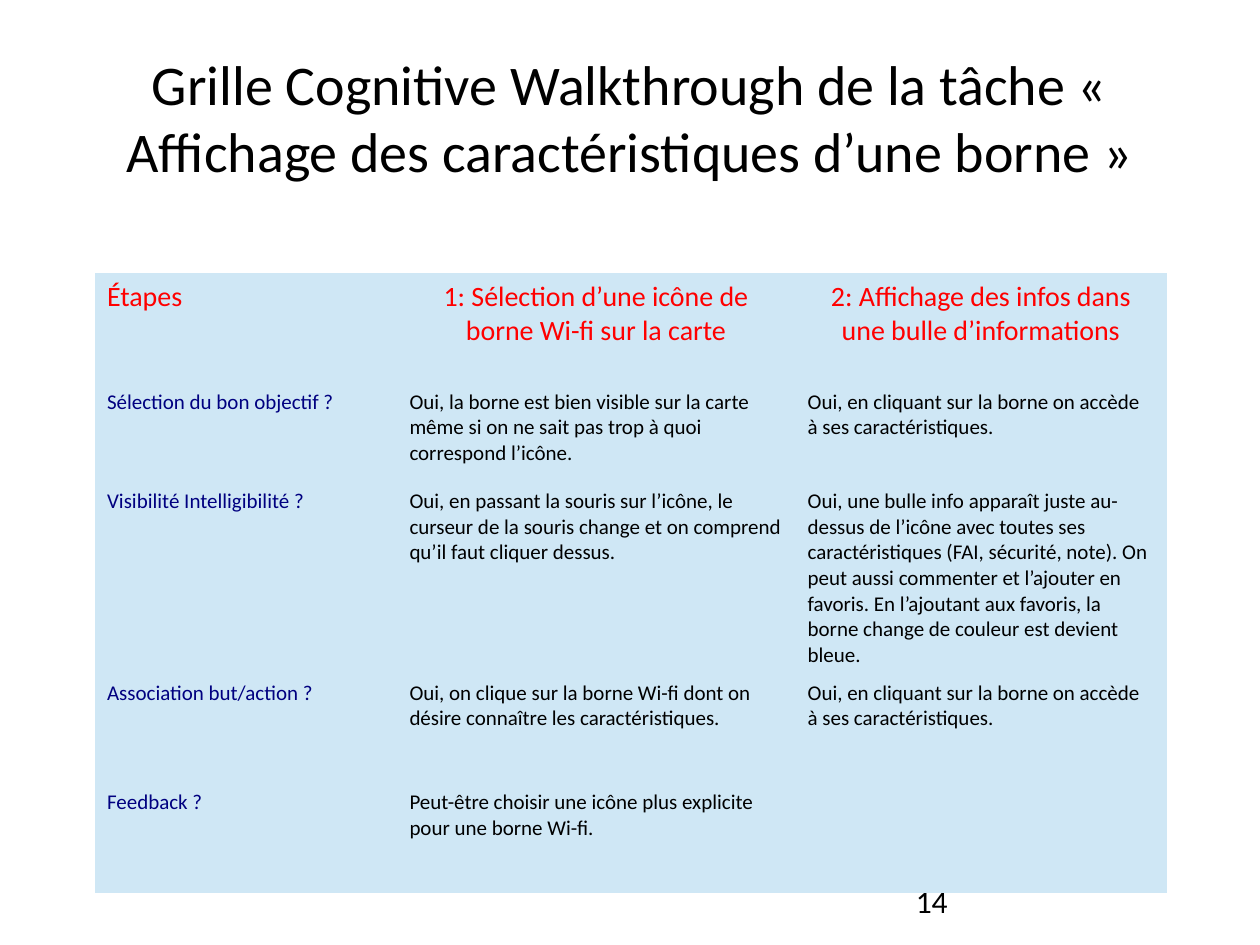
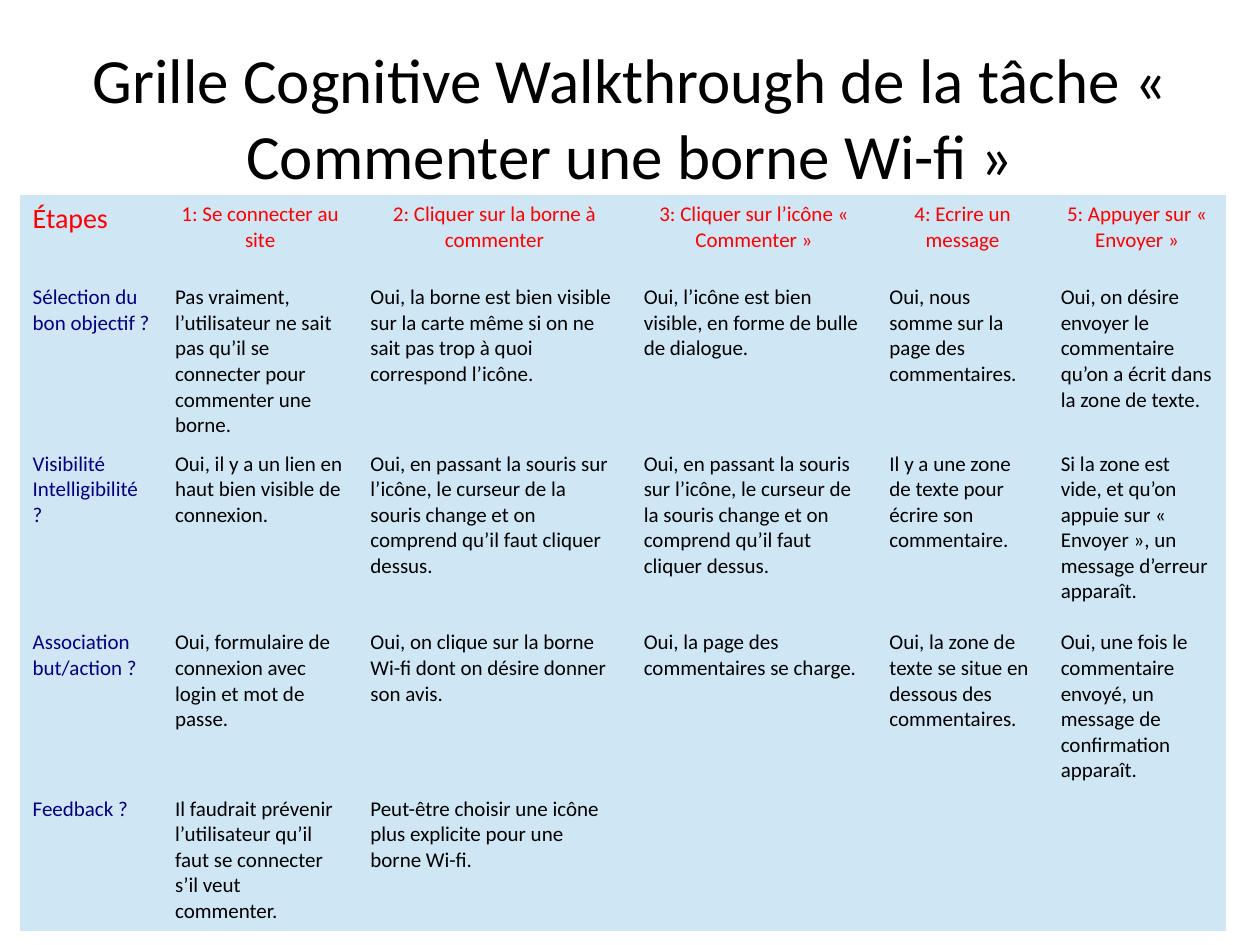
from dataclasses import dataclass
from typing import Any

from pptx import Presentation
from pptx.dml.color import RGBColor
from pptx.enum.text import MSO_ANCHOR, MSO_AUTO_SIZE, PP_ALIGN
from pptx.oxml.ns import qn
from pptx.util import Inches, Pt

LEFT, CENTER = PP_ALIGN.LEFT, PP_ALIGN.CENTER
MIDDLE, TOP = MSO_ANCHOR.MIDDLE, MSO_ANCHOR.TOP
NO_AUTOFIT = MSO_AUTO_SIZE.NONE

COLORS = {
    "text": "000000",
    "step": "FF0000",
    "question": "000080",
    "cell": "CFE7F5",
    "background": "FFFFFF",
}
FONT = "Calibri"
SLIDE_WIDTH, SLIDE_HEIGHT = Inches(10), Inches(7.5)
TITLE_ONLY = 5
PLAIN_TABLE = "{2D5ABB26-0587-4C30-8999-92F81FD0307C}"
CORNER_SIZE = 16
ANSWER_SIZE = 12
CORNER = "Étapes"
QUESTIONS = (
    "Sélection du bon objectif ?",
    "Visibilité Intelligibilité ?",
    "Association but/action ?",
    "Feedback ?",
)
VISIBLE = (
    "Oui, la borne est bien visible sur la carte même si on ne sait pas "
    "trop à quoi correspond l’icône."
)
HOVER = (
    "Oui, en passant la souris sur l’icône, le curseur de la souris change "
    "et on comprend qu’il faut cliquer dessus."
)
CLICK = "Oui, en cliquant sur la borne on accède à ses caractéristiques."
CLEARER_ICON = "Peut-être choisir une icône plus explicite pour une borne Wi-fi."


@dataclass(frozen=True)
class Box:
    """Position and size in percent of the slide."""

    left: float
    top: float
    width: float
    height: float


@dataclass(frozen=True)
class Step:
    heading: str
    width: float
    answers: tuple[str, ...]


@dataclass(frozen=True)
class Walkthrough:
    title: str
    title_size: int
    left: float
    top: float
    question_width: float
    row_heights: tuple[float, ...]
    step_size: int
    steps: tuple[Step, ...]
    page: str = ""


TITLE_BOX = Box(5, 4, 90, 16.67)
PAGE_BOX = Box(71.7, 92.67, 23.3, 5.33)

WALKTHROUGHS = (
    Walkthrough(
        title="Grille Cognitive Walkthrough de la tâche "
        "« Affichage des caractéristiques d’une borne »",
        title_size=32,
        left=7.5,
        top=28.93,
        question_width=24,
        row_heights=(11.6, 10.53, 20.27, 11.6, 11.6),
        step_size=16,
        steps=(
            Step(
                "1: Sélection d’une icône de borne Wi-fi sur la carte",
                31.6,
                (
                    VISIBLE,
                    HOVER,
                    "Oui, on clique sur la borne Wi-fi dont on désire "
                    "connaître les caractéristiques.",
                    CLEARER_ICON,
                ),
            ),
            Step(
                "2: Affichage des infos dans une bulle d’informations",
                29.5,
                (
                    CLICK,
                    "Oui, une bulle info apparaît juste au-dessus de l’icône "
                    "avec toutes ses caractéristiques (FAI, sécurité, note). "
                    "On peut aussi commenter et l’ajouter en favoris. "
                    "En l’ajoutant aux favoris, la borne change de couleur "
                    "est devient bleue.",
                    CLICK,
                    "",
                ),
            ),
        ),
        page="14",
    ),
    Walkthrough(
        title="Grille Cognitive Walkthrough de la tâche "
        "« Commenter une borne Wi-fi »",
        title_size=36,
        left=1.6,
        top=20.67,
        question_width=11.3,
        row_heights=(8.8, 17.6, 18.93, 17.6, 14.93),
        step_size=12,
        steps=(
            Step(
                "1: Se connecter au site",
                15.5,
                (
                    "Pas vraiment, l’utilisateur ne sait pas qu’il se "
                    "connecter pour commenter une borne.",
                    "Oui, il y a un lien en haut bien visible de connexion.",
                    "Oui, formulaire de connexion avec login et mot de passe.",
                    "Il faudrait prévenir l’utilisateur qu’il faut se "
                    "connecter s’il veut commenter.",
                ),
            ),
            Step(
                "2: Cliquer sur la borne à commenter",
                21.7,
                (
                    VISIBLE,
                    HOVER,
                    "Oui, on clique sur la borne Wi-fi dont on désire "
                    "donner son avis.",
                    CLEARER_ICON,
                ),
            ),
            Step(
                "3: Cliquer sur l’icône « Commenter »",
                19.5,
                (
                    "Oui, l’icône est bien visible, en forme de bulle de dialogue.",
                    HOVER,
                    "Oui, la page des commentaires se charge.",
                    "",
                ),
            ),
            Step(
                "4: Ecrire un message",
                13.6,
                (
                    "Oui, nous somme sur la page des commentaires.",
                    "Il y a une zone de texte pour écrire son commentaire.",
                    "Oui, la zone de texte se situe en dessous des commentaires.",
                    "",
                ),
            ),
            Step(
                "5: Appuyer sur « Envoyer »",
                14.1,
                (
                    "Oui, on désire envoyer le commentaire qu’on a écrit "
                    "dans la zone de texte.",
                    "Si la zone est vide, et qu’on appuie sur « Envoyer », "
                    "un message d’erreur apparaît.",
                    "Oui, une fois le commentaire envoyé, un message de "
                    "confirmation apparaît.",
                    "",
                ),
            ),
        ),
    ),
)


def across(percent: float) -> int:
    return round(SLIDE_WIDTH * percent / 100)


def down(percent: float) -> int:
    return round(SLIDE_HEIGHT * percent / 100)


def measures(box: Box) -> tuple[int, int, int, int]:
    return across(box.left), down(box.top), across(box.width), down(box.height)


def apply(target: Any, values: dict[str, Any]) -> None:
    for name, value in values.items():
        setattr(target, name, value)


def write(frame: Any, text: str, size: int, color: str, align: Any = LEFT) -> None:
    paragraph = frame.paragraphs[0]
    paragraph.alignment = align
    run = paragraph.add_run()
    run.text = text
    apply(run.font, {"name": FONT, "size": Pt(size)})
    run.font.color.rgb = RGBColor.from_string(COLORS[color])


def draw_title(slide: Any, walkthrough: Walkthrough) -> None:
    title = slide.shapes.title
    apply(title, dict(zip(("left", "top", "width", "height"), measures(TITLE_BOX))))
    frame = title.text_frame
    apply(
        frame,
        {"word_wrap": True, "auto_size": NO_AUTOFIT, "vertical_anchor": MIDDLE},
    )
    write(frame, walkthrough.title, walkthrough.title_size, "text", CENTER)


def draw_page(slide: Any, page: str) -> None:
    frame = slide.shapes.add_textbox(*measures(PAGE_BOX)).text_frame
    apply(frame, {"word_wrap": True, "vertical_anchor": TOP})
    write(frame, page, 18, "text")


def draw_grid(slide: Any, walkthrough: Walkthrough) -> None:
    steps = walkthrough.steps
    widths = (walkthrough.question_width, *(step.width for step in steps))
    heights = walkthrough.row_heights
    area = Box(walkthrough.left, walkthrough.top, sum(widths), sum(heights))
    graphic = slide.shapes.add_table(len(heights), len(widths), *measures(area))
    for style in graphic.element.iter(qn("a:tableStyleId")):
        style.text = PLAIN_TABLE
    grid = graphic.table
    apply(grid, {"first_row": False, "horz_banding": False})
    for column, width in zip(grid.columns, widths):
        column.width = across(width)
    for row, height in zip(grid.rows, heights):
        row.height = down(height)

    contents = [(CORNER, *QUESTIONS)]
    contents += [(step.heading, *step.answers) for step in steps]
    for column, texts in enumerate(contents):
        for row, text in enumerate(texts):
            cell = grid.cell(row, column)
            cell.fill.solid()
            cell.fill.fore_color.rgb = RGBColor.from_string(COLORS["cell"])
            if not text:
                continue
            if row == 0:
                size = walkthrough.step_size if column else CORNER_SIZE
                align = CENTER if column else LEFT
                write(cell.text_frame, text, size, "step", align)
            else:
                color = "text" if column else "question"
                write(cell.text_frame, text, ANSWER_SIZE, color)


def draw_walkthrough(deck: Any, walkthrough: Walkthrough) -> None:
    slide = deck.slides.add_slide(deck.slide_layouts[TITLE_ONLY])
    slide.background.fill.solid()
    slide.background.fill.fore_color.rgb = RGBColor.from_string(COLORS["background"])
    draw_title(slide, walkthrough)
    if walkthrough.page:
        draw_page(slide, walkthrough.page)
    draw_grid(slide, walkthrough)


def main() -> None:
    deck = Presentation()
    apply(deck, {"slide_width": SLIDE_WIDTH, "slide_height": SLIDE_HEIGHT})
    for walkthrough in WALKTHROUGHS:
        draw_walkthrough(deck, walkthrough)
    deck.save("out.pptx")


if __name__ == "__main__":
    main()
